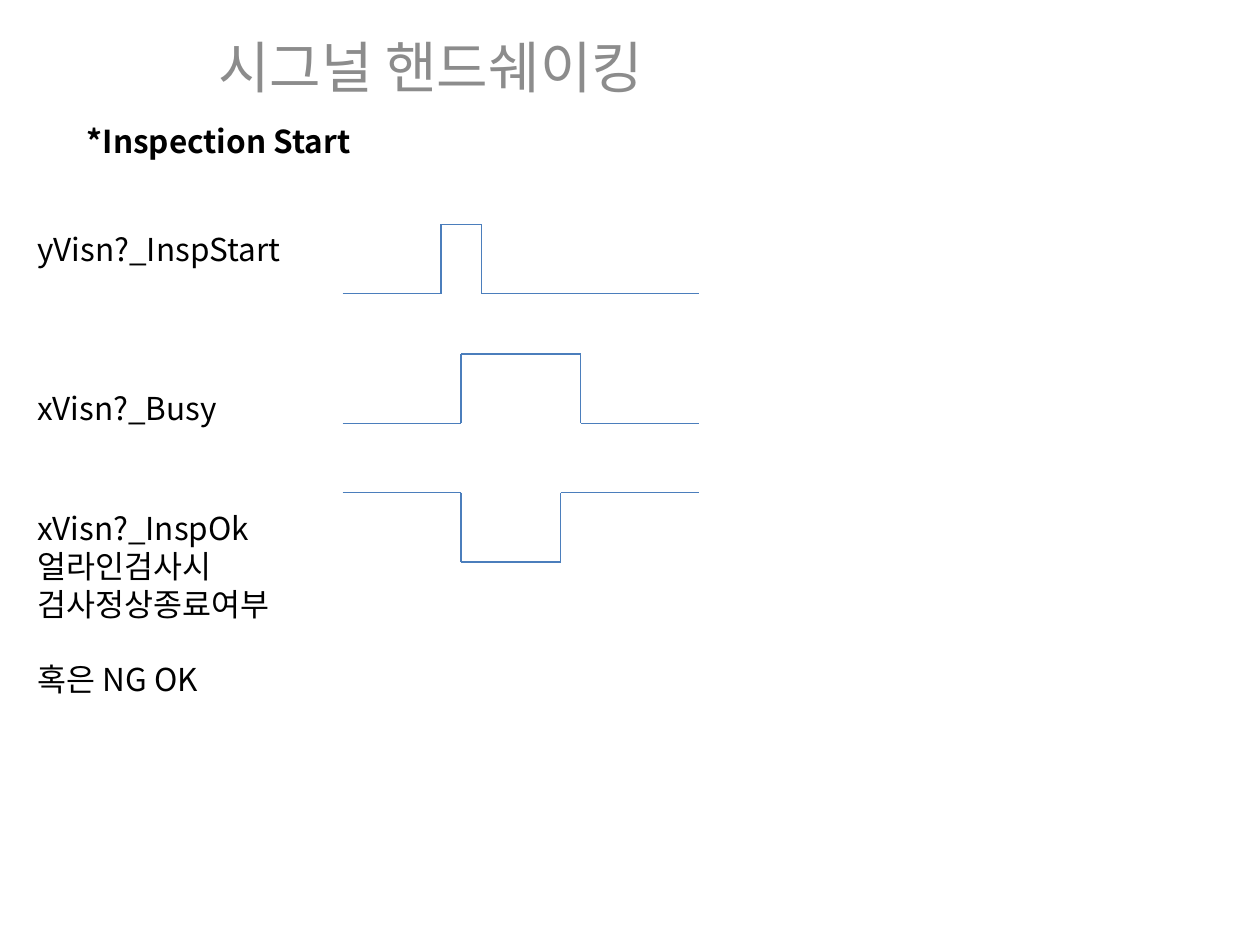
from dataclasses import dataclass

from lxml import etree
from pptx import Presentation
from pptx import util as u
from pptx.dml.color import RGBColor
from pptx.enum import shapes, text
from pptx.oxml import ns


@dataclass(frozen=True)
class Theme:
    font: str = "Noto Sans CJK KR"
    head: RGBColor = RGBColor(0x8C, 0x8C, 0x8C)
    ink: RGBColor = RGBColor(0, 0, 0)
    wave: RGBColor = RGBColor(0x4B, 0x7E, 0xBC)
    big: int = 32
    body: int = 18
    rule: float = 0.75
    gap: float = 21.7


THEME = Theme()
LEFT, RIGHT, RISE = 2.72, 5.55, 0.55
SIGNALS = [
    (["yVisn?_InspStart"], (0.2, 1.78, 2.13, 0.4), 2.33, 1.78, (3.5, 3.82)),
    (["xVisn?_Busy"], (0.2, 3.04, 2.13, 0.4), 3.36, 2.81, (3.66, 4.61)),
    (["xVisn?_InspOk", "얼라인검사시", "검사정상종료여부", "혹은 NG OK"],
     (0.2, 3.99, 2.44, 1.62), 3.91, 4.46, (3.66, 4.45)),
]


def add_run(para, words, size, color, bold=False):
    run = para.add_run()
    run.text = words
    font = run.font
    font.name, font.size, font.bold = THEME.font, u.Pt(size), bold
    font.color.rgb = color
    east = etree.Element(ns.qn("a:ea"), typeface=THEME.font)
    font._element.find(ns.qn("a:latin")).addnext(east)


def place(shape, box):
    shape.left, shape.top, shape.width, shape.height = map(u.Inches, box)


def add_title(slide, words, box):
    title = slide.shapes.title
    place(title, box)
    frame = title.text_frame
    frame.auto_size = text.MSO_AUTO_SIZE.NONE
    frame.vertical_anchor = text.MSO_ANCHOR.TOP
    para = frame.paragraphs[0]
    para.alignment = text.PP_ALIGN.CENTER
    add_run(para, words, THEME.big, THEME.head)


def add_label(slide, lines, box, bold=False):
    frame = slide.shapes.add_textbox(*map(u.Inches, box)).text_frame
    frame.word_wrap = True
    for i, words in enumerate(lines):
        para = frame.add_paragraph() if i else frame.paragraphs[0]
        add_run(para, words, THEME.body, THEME.ink, bold)
    if len(lines) > 1:
        para.space_before = u.Pt(THEME.gap)


def add_wave(slide, rest, pulse, edges):
    start, end = edges
    points = [(LEFT, rest), (start, rest), (start, pulse),
              (end, pulse), (end, rest), (RIGHT, rest)]
    for a, b in zip(points, points[1:]):
        line = slide.shapes.add_connector(
            shapes.MSO_CONNECTOR.STRAIGHT, *map(u.Inches, a + b))
        line.line.color.rgb = THEME.wave
        line.line.width = u.Pt(THEME.rule)
        etree.SubElement(line._element.spPr, ns.qn("a:effectLst"))


def main():
    deck = Presentation()
    deck.slide_width, deck.slide_height = u.Inches(10), u.Inches(7.5)
    slide = deck.slides.add_slide(deck.slide_layouts.get_by_name("Title Only"))
    add_title(slide, "시그널 핸드쉐이킹", (0.35, 0.21, 6.14, 0.71))
    add_label(slide, ["*Inspection Start"], (0.59, 0.92, 7.95, 0.4), True)
    for lines, box, rest, pulse, edges in SIGNALS:
        add_label(slide, lines, box)
        add_wave(slide, rest, pulse, edges)
    deck.save("out.pptx")


if __name__ == "__main__":
    main()
